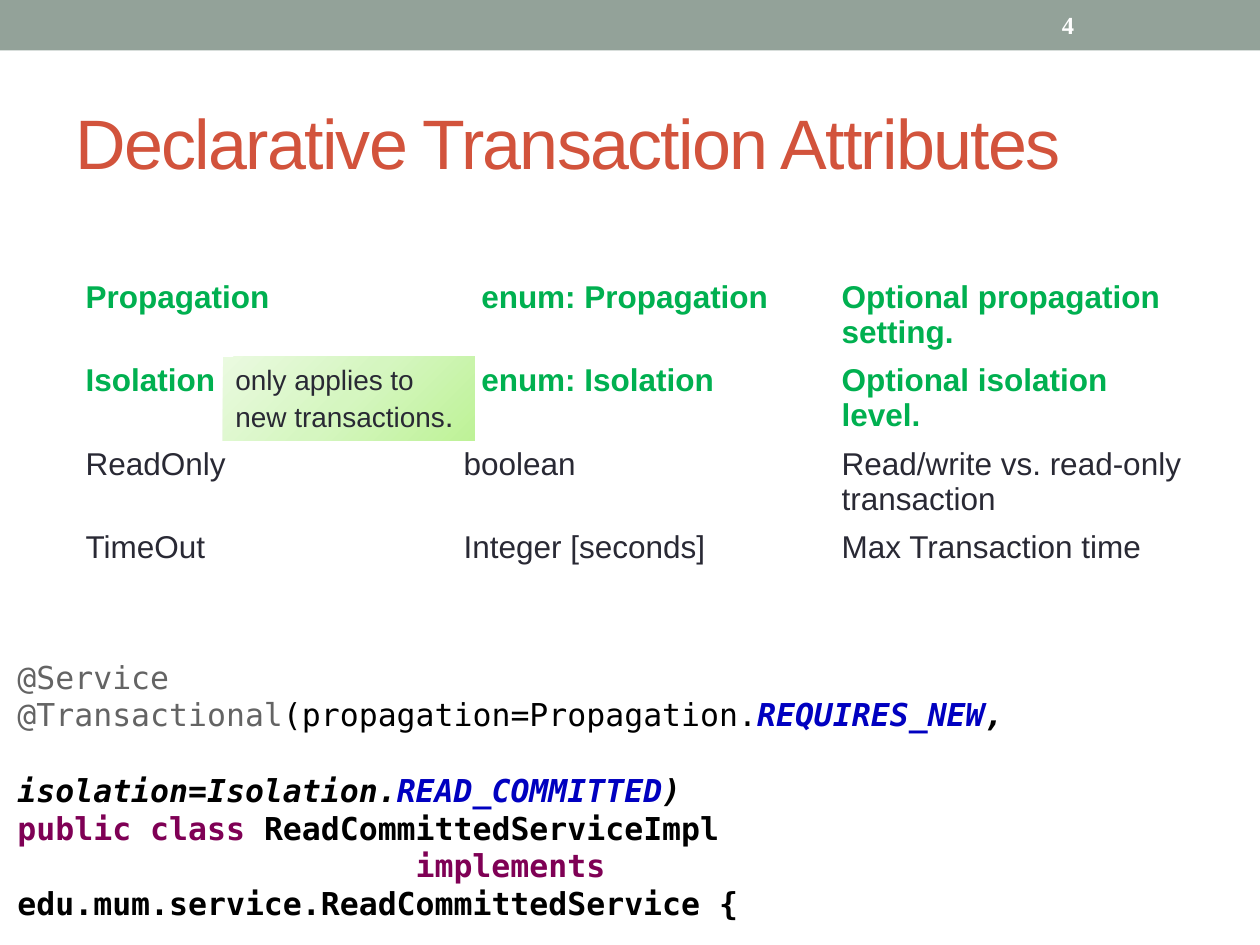
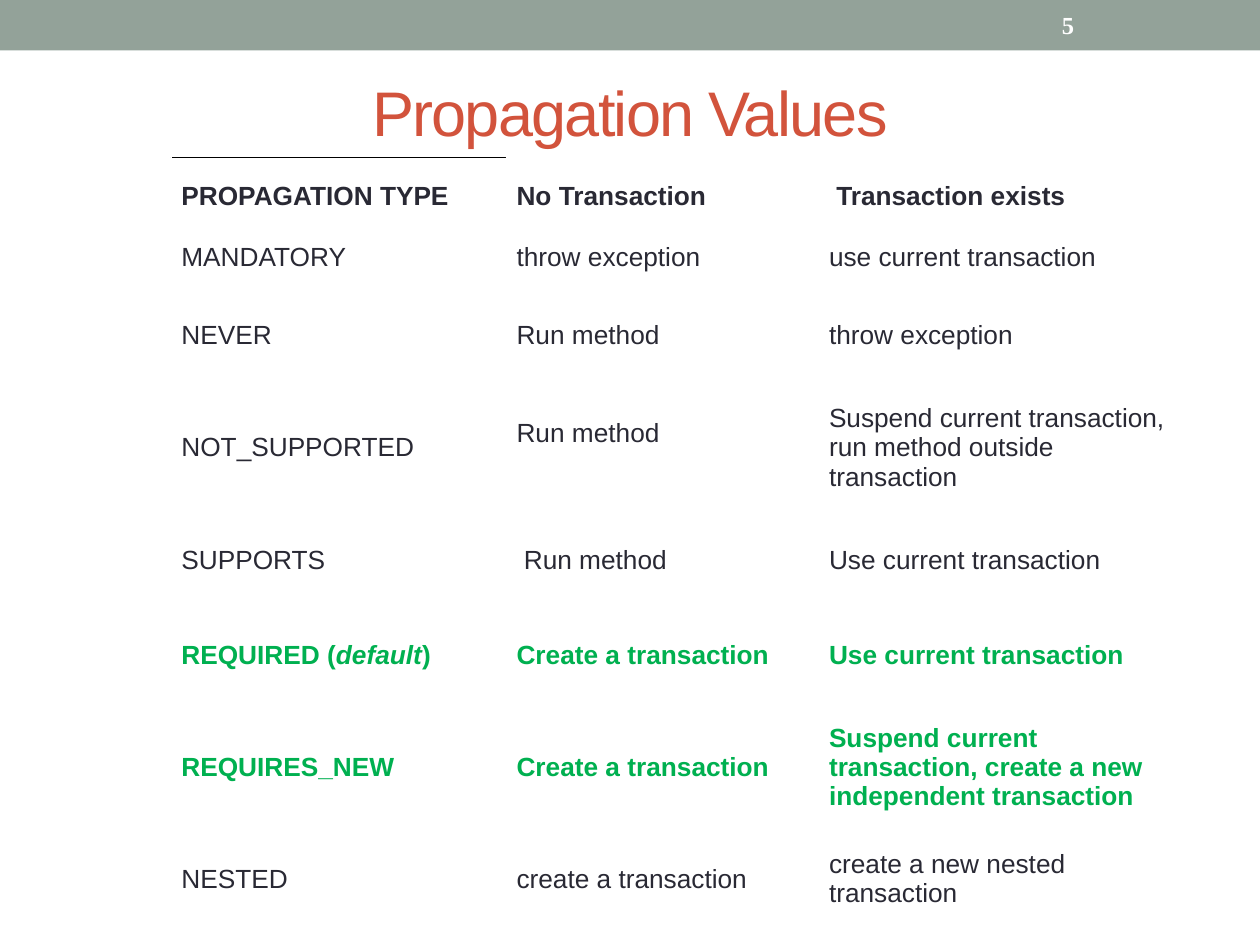
from dataclasses import dataclass
from lxml import etree
from pptx import Presentation
from pptx.dml.color import RGBColor
from pptx.enum.shapes import MSO_SHAPE
from pptx.enum.text import MSO_ANCHOR, MSO_AUTO_SIZE, PP_ALIGN
from pptx.oxml import parse_xml
from pptx.util import Inches, Pt

LEFT, CENTER = PP_ALIGN.LEFT, PP_ALIGN.CENTER
TOP, MIDDLE = MSO_ANCHOR.TOP, MSO_ANCHOR.MIDDLE
RECTANGLE, NO_AUTOFIT = MSO_SHAPE.RECTANGLE, MSO_AUTO_SIZE.NONE
DRAWING = "http://schemas.openxmlformats.org/drawingml/2006/main"


@dataclass(frozen=True)
class Theme:
    band: str = "93A299"
    title: str = "D2533C"
    ink: str = "292934"
    accent: str = "00B050"
    white: str = "FFFFFF"
    black: str = "000000"
    annotation: str = "646464"
    constant: str = "0000C0"
    keyword: str = "7F0055"
    note: tuple = ((0, "BEF297"), (50, "D5F6C0"), (100, "EAFAE0"))
    sans: str = "Arial"
    mono: str = "DejaVu Sans Mono"
    serif: str = "Times New Roman"
    body_size: int = 18
    note_size: int = 16
    number_size: int = 14
    small_size: int = 15


THEME = Theme()

# Text formats
PLAIN = {"name": THEME.sans, "size": THEME.body_size, "color": THEME.ink, "bold": False}
STRONG = PLAIN | {"color": THEME.accent, "bold": True}
SMALL = PLAIN | {"size": THEME.small_size}
SMALL_HEAD = SMALL | {"bold": True}
SMALL_STRONG = STRONG | {"size": THEME.small_size}
NOTE = PLAIN | {"size": THEME.note_size}
NUMBER = {"name": THEME.serif, "size": THEME.number_size, "color": THEME.white, "bold": True}
TITLE = {"name": THEME.sans, "color": THEME.title, "bold": False}
CODE = {"name": THEME.mono, "size": THEME.body_size, "color": THEME.black}
ANNOTATION = CODE | {"color": THEME.annotation}
CODE_BOLD = CODE | {"bold": True}
CODE_SLANTED = CODE_BOLD | {"italic": True}
CONSTANT = CODE_SLANTED | {"color": THEME.constant}
KEYWORD = CODE_BOLD | {"color": THEME.keyword}

# Presentation and a grid of 100 columns by 75 rows
presentation = Presentation()
presentation.slide_width, presentation.slide_height = Inches(10), Inches(7.5)
COLUMN, ROW = presentation.slide_width / 100, presentation.slide_height / 75
title_only = presentation.slide_layouts[5]


def place(left, top, width, height):
    return [int(left * COLUMN), int(top * ROW), int(width * COLUMN), int(height * ROW)]


def write_runs(paragraph, runs):
    for text, text_format in runs:
        run = paragraph.add_run()
        run.text = text
        for attribute, value in text_format.items():
            if attribute == "color":
                run.font.color.rgb = RGBColor.from_string(value)
            else:
                setattr(run.font, attribute, Pt(value) if attribute == "size" else value)


# Content of each slide; a cell is a text or a list of runs
SLIDES = [
    {
        "number": "4", "title": "Declarative Transaction Attributes",
        "title_size": 40, "align": LEFT, "title_frame": {"vertical_anchor": MIDDLE},
        "table_at": (5.8, 21.7), "widths": [30] * 3, "heights": [6.62] * 3 + [5.1],
        "cell": {"vertical_anchor": TOP},
        "rows": [
            (STRONG, ["Propagation", "enum: Propagation", "Optional propagation setting."]),
            (STRONG, ["Isolation", "enum: Isolation", "Optional isolation level."]),
            (PLAIN, ["ReadOnly", "boolean", "Read/write vs. read-only transaction"]),
            (PLAIN, ["TimeOut", "Integer [seconds]", "Max Transaction time"]),
        ],
    },
    {
        "number": "5", "title": "Propagation Values",
        "title_size": 36, "align": CENTER,
        "title_frame": {"vertical_anchor": TOP, "margin_top": 0},
        "table_at": (13.6, 12.5), "widths": [26.6, 24.8, 28.3],
        "heights": [6.2, 3.5, 8.9, 8.9, 8.9, 6.2, 11.6, 6.2],
        "cell": {"vertical_anchor": MIDDLE, "margin_left": int(0.8 * COLUMN),
                 "margin_right": int(0.8 * COLUMN), "margin_top": int(0.4 * ROW),
                 "margin_bottom": int(0.4 * ROW)},
        "rows": [
            (SMALL_HEAD, ["PROPAGATION TYPE", "No Transaction", " Transaction exists"]),
            (SMALL, ["MANDATORY", "throw exception", "use current transaction"]),
            (SMALL, ["NEVER", "Run method", "throw exception"]),
            (SMALL, ["NOT_SUPPORTED", "Run method",
                     "Suspend current transaction, run method outside transaction"]),
            (SMALL, ["SUPPORTS", " Run method", "Use current transaction"]),
            (SMALL_STRONG, [[("REQUIRED (", SMALL_STRONG),
                             ("default", SMALL_STRONG | {"italic": True}),
                             (")", SMALL_STRONG)],
                            "Create a transaction", "Use current transaction"]),
            (SMALL_STRONG, ["REQUIRES_NEW", "Create a transaction",
                            "Suspend current transaction, create a new independent transaction"]),
            (SMALL, ["NESTED", "create a transaction", "create a new nested transaction"]),
        ],
    },
]

slides, tables = [], []
for content in SLIDES:
    slide = presentation.slides.add_slide(title_only)
    slides.append(slide)

    # Title
    title = slide.shapes.title
    title.left, title.top, title.width, title.height = place(5, 5.8, 90, 10.8)
    title.text_frame.auto_size = NO_AUTOFIT
    for attribute, value in content["title_frame"].items():
        setattr(title.text_frame, attribute, value)
    paragraph = title.text_frame.paragraphs[0]
    paragraph.alignment = content["align"]
    write_runs(paragraph, [(content["title"], TITLE | {"size": content["title_size"]})])
    paragraph.runs[0].font._element.set("spc", "-100")

    # Table
    widths, heights, rows = content["widths"], content["heights"], content["rows"]
    table = slide.shapes.add_table(
        len(rows), len(widths), *place(*content["table_at"], sum(widths), sum(heights))).table
    tables.append(table)
    table.first_row = table.horz_banding = False
    for column, width in zip(table.columns, widths):
        column.width = int(width * COLUMN)
    for row, height, (row_format, texts) in zip(table.rows, heights, rows):
        row.height = int(height * ROW)
        for cell, text in zip(row.cells, texts):
            cell.fill.background()
            for attribute, value in content["cell"].items():
                setattr(cell, attribute, value)
            runs = [(text, row_format)] if isinstance(text, str) else text
            write_runs(cell.text_frame.paragraphs[0], runs)

    # Slide number
    number_box = slide.shapes.add_textbox(*place(83.3, 0.2, 11.7, 3.6))
    number_box.text_frame.word_wrap = True
    number_box.text_frame.vertical_anchor = MIDDLE
    write_runs(number_box.text_frame.paragraphs[0], [(content["number"], NUMBER)])

attributes_slide = slides[0]
attributes_table, propagation_table = tables

# Top band, shared through the layout
band = attributes_slide.shapes.add_shape(RECTANGLE, *place(0, 0, 100, 4))
band.shadow.inherit = False
band.fill.solid()
band.fill.fore_color.rgb = RGBColor.from_string(THEME.band)
band.line.fill.background()
title_only.placeholders[0].element.addprevious(band.element)

# Cells set off from the others
for row_index in (0, 1):
    attributes_table.cell(row_index, 1).margin_left = int(2.4 * COLUMN)
propagation_table.cell(3, 1).margin_bottom = int(2.7 * ROW)
header_border = parse_xml(
    f'<a:lnT xmlns:a="{DRAWING}" w="9525"><a:solidFill>'
    f'<a:srgbClr val="{THEME.black}"/></a:solidFill></a:lnT>')
propagation_table.cell(0, 0)._tc.get_or_add_tcPr().insert(0, header_border)

# Code sample: paragraph format and runs of each line
CODE_LINES = [
    ({}, [("@Service", ANNOTATION)]),
    ({}, [("@Transactional", ANNOTATION), ("(propagation=Propagation.", CODE),
          ("REQUIRES_NEW", CONSTANT), (",", CODE_SLANTED)]),
    ({"space_before": Pt(21.5)}, [("isolation=Isolation.", CODE_SLANTED),
                                  ("READ_COMMITTED", CONSTANT), (")", CODE_SLANTED)]),
    ({}, [("public class ", KEYWORD), ("ReadCommittedServiceImpl", CODE_BOLD)]),
    ({"first_indent": 31.6}, [("implements ", KEYWORD),
                              ("edu.mum.service.ReadCommittedService {", CODE_BOLD)]),
]
code_box = attributes_slide.shapes.add_textbox(*place(0.4, 51.7, 98.8, 16.2))
code_frame = code_box.text_frame
code_frame.word_wrap = True
for index, (line_format, runs) in enumerate(CODE_LINES):
    paragraph = code_frame.add_paragraph() if index else code_frame.paragraphs[0]
    for attribute, value in line_format.items():
        if attribute == "first_indent":
            paragraph._p.get_or_add_pPr().set("indent", str(int(value * COLUMN)))
        else:
            setattr(paragraph, attribute, value)
    write_runs(paragraph, runs)

# Note beside the isolation row, shaded from its bottom right corner
note = attributes_slide.shapes.add_shape(RECTANGLE, *place(17.7, 28.3, 20, 6.7))
note.shadow.inherit = False
note.line.fill.background()
gradient = etree.Element(f"{{{DRAWING}}}gradFill", rotWithShape="1")
stops = etree.SubElement(gradient, f"{{{DRAWING}}}gsLst")
for position, color in THEME.note:
    stop = etree.SubElement(stops, f"{{{DRAWING}}}gs", pos=str(position * 1000))
    etree.SubElement(stop, f"{{{DRAWING}}}srgbClr", val=color)
shade = etree.SubElement(gradient, f"{{{DRAWING}}}path", path="circle")
etree.SubElement(shade, f"{{{DRAWING}}}fillToRect", l="100000", t="100000")
note.element.spPr.find(f"{{{DRAWING}}}prstGeom").addnext(gradient)
note_frame = note.text_frame
note_frame.word_wrap = True
note_frame.vertical_anchor = TOP
NOTE_LINES = [[("only applies to", NOTE)], [("new transactions", NOTE), (".", PLAIN)]]
for index, runs in enumerate(NOTE_LINES):
    paragraph = note_frame.add_paragraph() if index else note_frame.paragraphs[0]
    paragraph.alignment = LEFT
    write_runs(paragraph, runs)

presentation.save("out.pptx")
